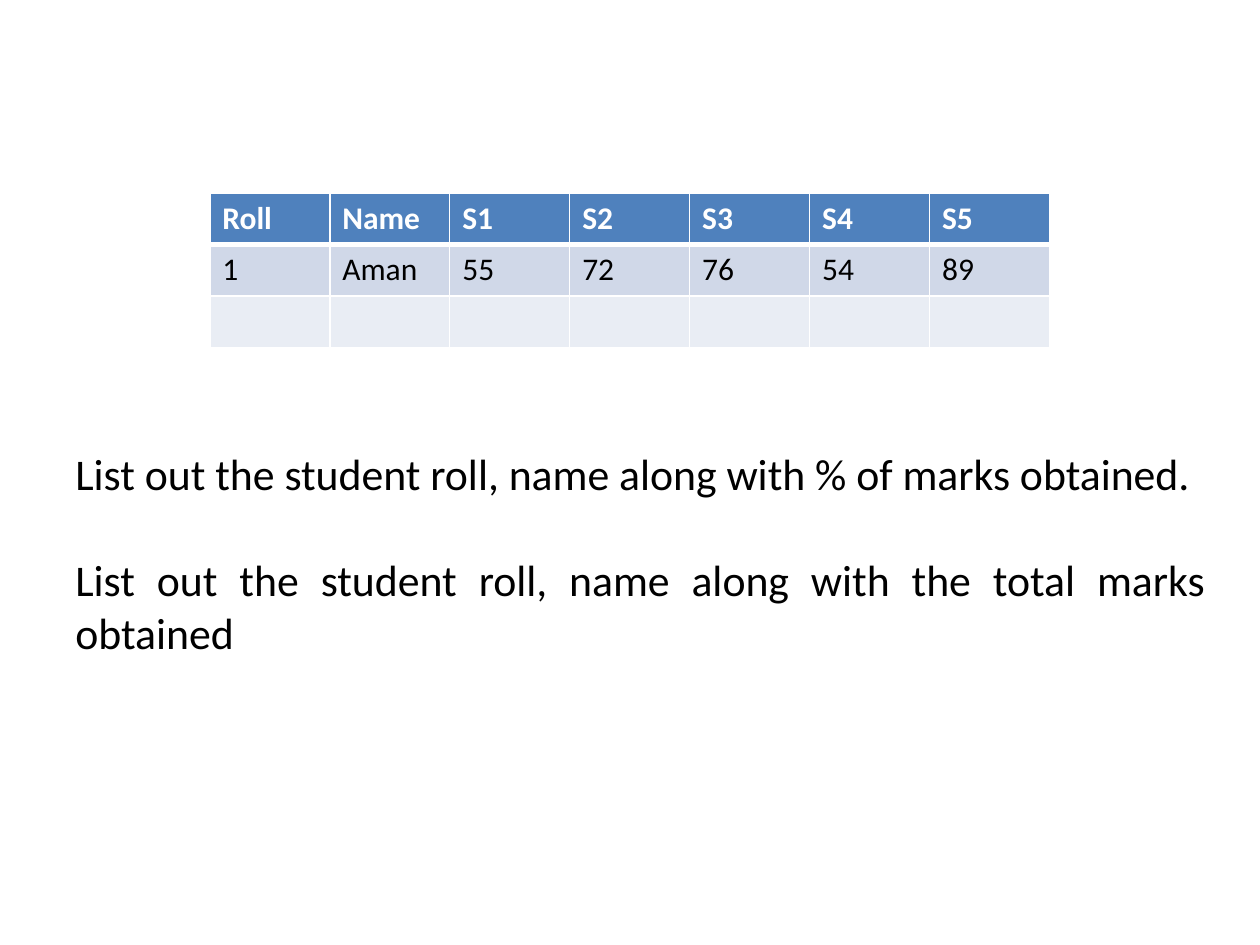
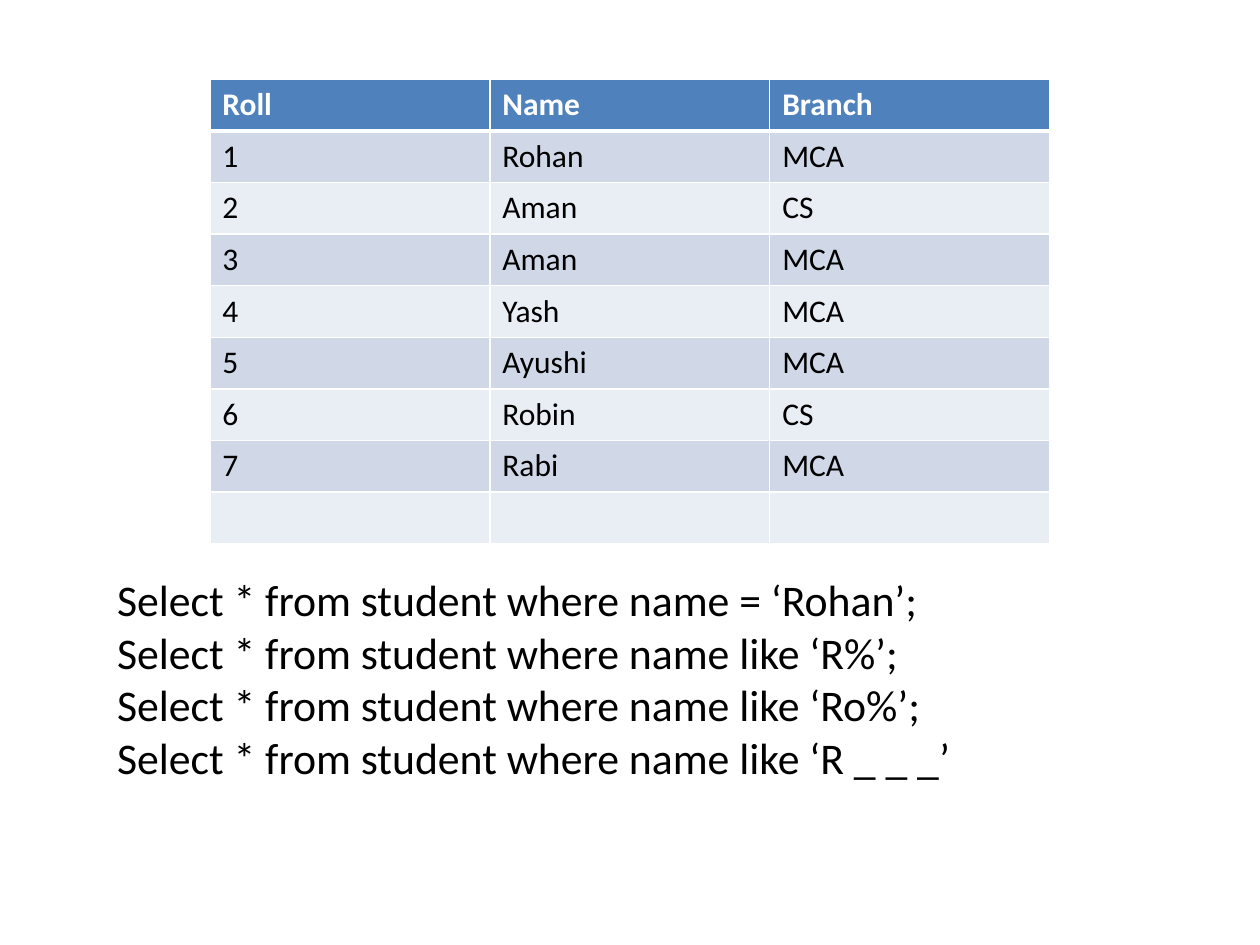
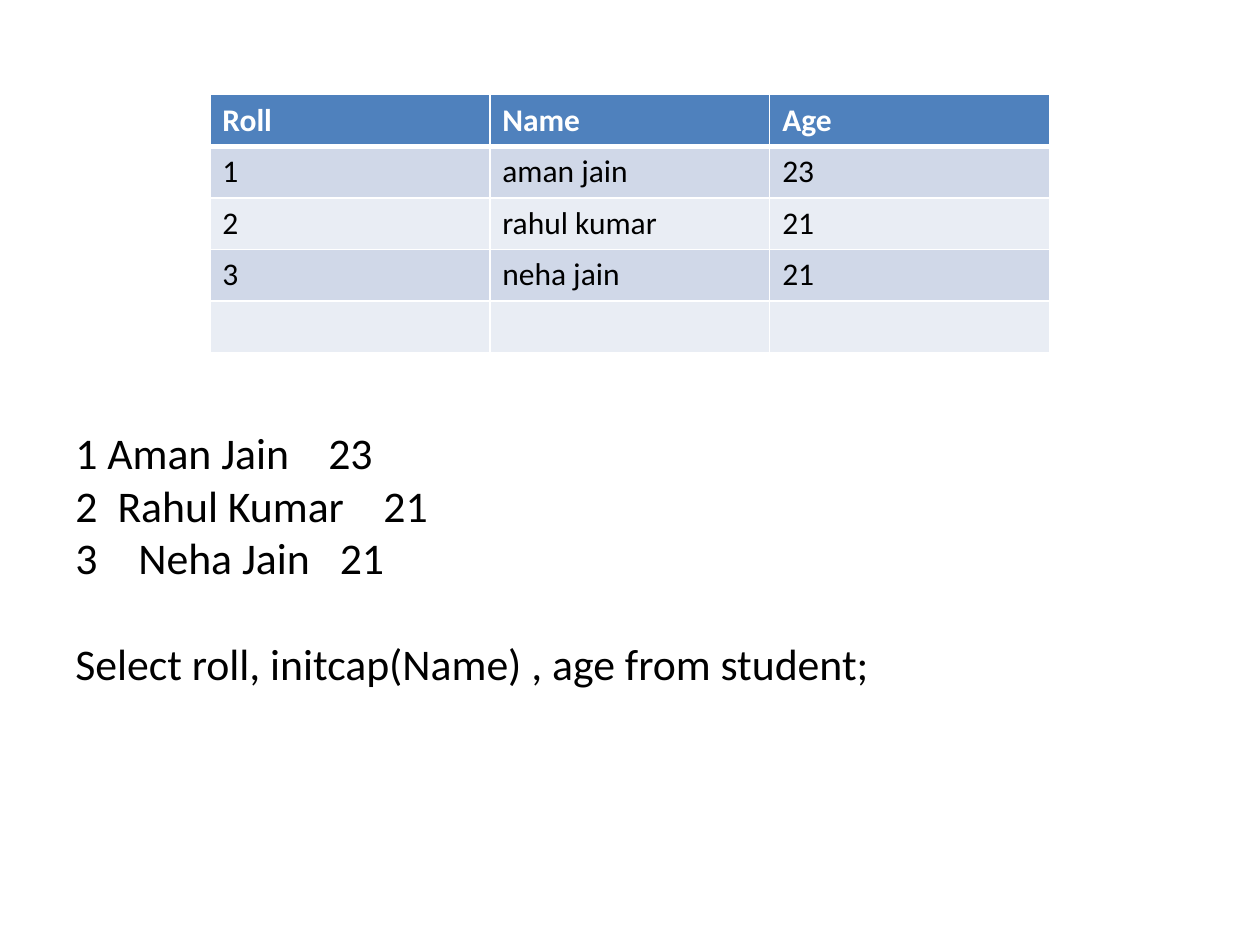
"""Build three slides of student tables with SQL exercises."""
from lxml.etree import SubElement
from pptx import Presentation
from pptx.dml.color import RGBColor
from pptx.enum.text import MSO_AUTO_SIZE, PP_ALIGN
from pptx.oxml.ns import qn
from pptx.util import Cm, Pt

FONT = "Calibri"
BLACK = RGBColor(0x00, 0x00, 0x00)
WHITE = RGBColor(0xFF, 0xFF, 0xFF)
HEADER_BLUE = RGBColor(0x4F, 0x81, 0xBD)
BANDS = (RGBColor(0xE9, 0xED, 0xF4), RGBColor(0xD0, 0xD8, 0xE8))
TABLE_LEFT, TABLE_WIDTH, ROW_HEIGHT = Cm(4.23), Cm(16.93), Cm(1.04)
LINE_GAP = Pt(30.5)


def write(paragraph, text, size=25, color=BLACK, bold=False, align=None,
          before=None, number=None, tabs=()):
    """Fill a paragraph with formatted text, optionally numbered or tabbed."""
    run = paragraph.add_run()
    run.text = text
    run.font.name = FONT
    run.font.size = Pt(size)
    run.font.bold = bold
    run.font.color.rgb = color
    paragraph.alignment = align
    paragraph.space_before = before
    properties = paragraph._p.get_or_add_pPr()
    if number:
        properties.set("marL", str(Cm(1.27)))
        properties.set("indent", str(-Cm(1.27)))
        SubElement(properties, qn("a:buFont"), typeface="+mj-lt")
        SubElement(properties, qn("a:buAutoNum"), type="arabicPlain",
                   startAt=str(number))
    if tabs:
        stops = SubElement(properties, qn("a:tabLst"))
        for position in tabs:
            SubElement(stops, qn("a:tab"), pos=str(Cm(position)), algn="l")


def add_borders(cell, top, bottom):
    """Draw white cell borders with the given top and bottom widths in points."""
    properties = cell._tc.get_or_add_tcPr()
    for side, width in (("L", 1), ("R", 1), ("T", top), ("B", bottom)):
        line = SubElement(properties, qn(f"a:ln{side}"), w=str(Pt(width)))
        fill = SubElement(line, qn("a:solidFill"))
        SubElement(fill, qn("a:srgbClr"), val=str(WHITE))


def add_student_table(slide, top, header, students):
    """Add a banded table that ends with an empty row."""
    rows = [header, *students, [""] * len(header)]
    table = slide.shapes.add_table(
        len(rows), len(header), TABLE_LEFT, top, TABLE_WIDTH,
        ROW_HEIGHT * len(rows)).table
    for row, values in enumerate(rows):
        is_header = row == 0
        for column, value in enumerate(values):
            cell = table.cell(row, column)
            add_borders(cell, 3 if row == 1 else 1, 3 if is_header else 1)
            cell.fill.solid()
            cell.fill.fore_color.rgb = HEADER_BLUE if is_header else BANDS[row % 2]
            if value:
                write(cell.text_frame.paragraphs[0], value, size=18,
                      color=WHITE if is_header else BLACK, bold=is_header)


def add_lines(slide, left, top, width, height, lines):
    """Add a wrapped text box from pairs of text and format."""
    frame = slide.shapes.add_textbox(left, top, width, height).text_frame
    frame.word_wrap = True
    frame.auto_size = MSO_AUTO_SIZE.SHAPE_TO_FIT_TEXT
    for index, (text, style) in enumerate(lines):
        paragraph = frame.add_paragraph() if index else frame.paragraphs[0]
        write(paragraph, text, **style)


def add_marks_slide(slide):
    """Show the marks table and two questions about it."""
    add_student_table(slide, Cm(3.89),
                      ["Roll", "Name", "S1", "S2", "S3", "S4", "S5"],
                      [["1", "Aman", "55", "72", "76", "54", "89"]])
    add_lines(slide, Cm(1.27), Cm(8.89), Cm(23.28), Cm(5.31), [
        ("List out the student roll, name along with % of marks obtained.", {}),
        ("List out the student roll, name along with the total marks obtained",
         {"align": PP_ALIGN.JUSTIFY, "before": LINE_GAP}),
    ])


def add_like_slide(slide):
    """Show the branch table and queries that match names."""
    students = [("Rohan", "MCA"), ("Aman", "CS"), ("Aman", "MCA"),
                ("Yash", "MCA"), ("Ayushi", "MCA"), ("Robin", "CS"),
                ("Rabi", "MCA")]
    add_student_table(slide, Cm(1.6), ["Roll", "Name", "Branch"],
                      [[str(roll), *student]
                       for roll, student in enumerate(students, 1)])
    conditions = ["= ‘Rohan’;", "like ‘R%’;", "like ‘Ro%’;", "like ‘R _ _ _’"]
    add_lines(slide, Cm(2.11), Cm(11.43), Cm(20.96), Cm(6.38),
              [(f"Select * from student where name {condition}", {})
               for condition in conditions])


def add_initcap_slide(slide):
    """Show the age table, the capitalised result and its query."""
    add_student_table(slide, Cm(1.91), ["Roll", "Name", "Age"],
                      [["1", "aman jain", "23"],
                       ["2", "rahul kumar", "21"],
                       ["3", "neha jain", "21"]])
    add_lines(slide, Cm(1.27), Cm(8.46), Cm(20.52), Cm(5.59), [
        ("1 Aman Jain\t23", {"tabs": [5.1]}),
        ("2\tRahul Kumar\t21", {"tabs": [0.85, 6.21]}),
        ("Neha Jain\t21", {"number": 3, "tabs": [5.33]}),
        ("Select roll, initcap(Name) , age from student;",
         {"before": LINE_GAP}),
    ])


def main():
    """Build and save the presentation."""
    deck = Presentation()
    deck.slide_width, deck.slide_height = Cm(25.4), Cm(19.05)
    blank = deck.slide_layouts[6]
    for fill_slide in (add_marks_slide, add_like_slide, add_initcap_slide):
        fill_slide(deck.slides.add_slide(blank))
    deck.save("out.pptx")


if __name__ == "__main__":
    main()
